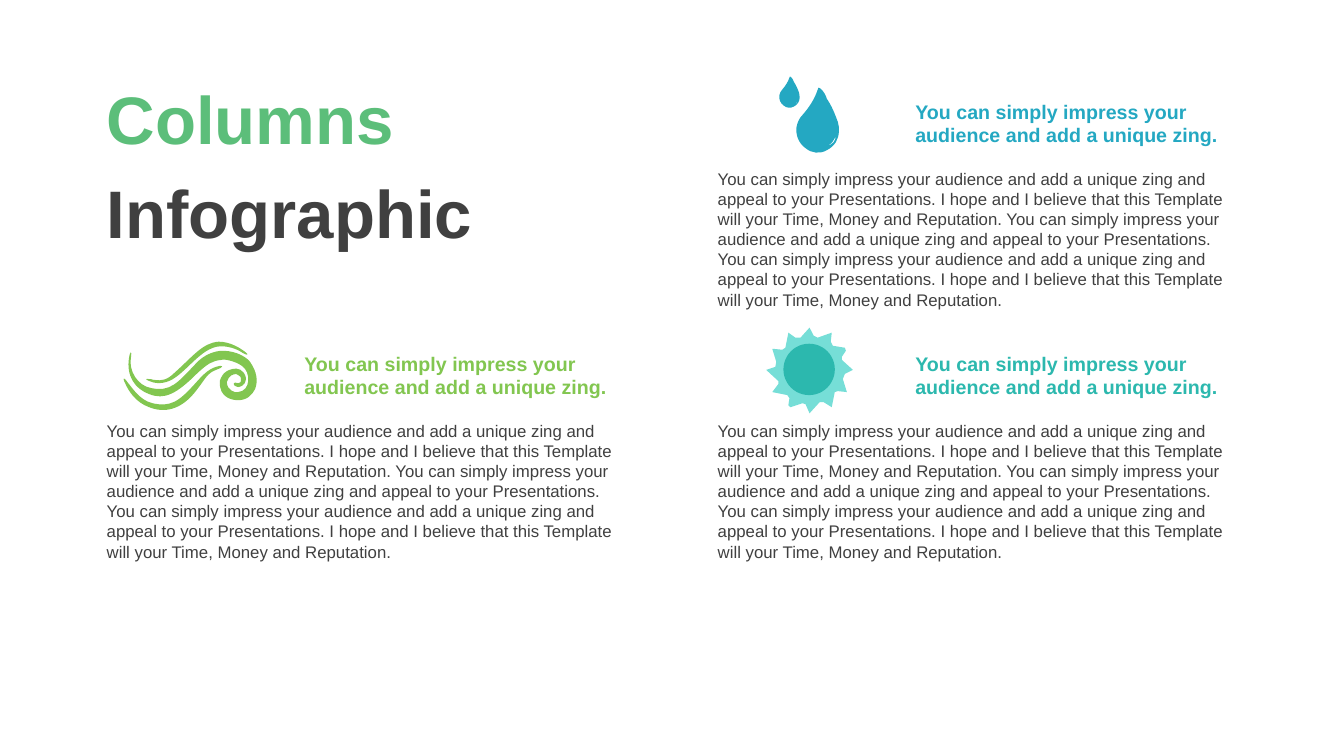
from dataclasses import dataclass

import lxml.etree
import pptx
import pptx.dml.color
import pptx.enum.shapes
import pptx.enum.text
import pptx.oxml.ns
import pptx.util

Point = tuple[int, int]
Inches = pptx.util.Inches
qn = pptx.oxml.ns.qn


@dataclass(frozen=True)
class Theme:
    font: str = "Arial"
    panel: str = "FFFFFF"
    title: str = "5CBE7A"
    ink: str = "404040"
    wind: str = "82C650"
    water: str = "24A8C2"
    sun: str = "2CB8AE"
    rays: str = "76DED7"
    title_size: int = 48
    heading_size: int = 14
    body_size: int = 12


@dataclass(frozen=True)
class Column:
    left: float
    top: float
    color: str


@dataclass(frozen=True)
class Outline:
    contours: tuple[str, ...]
    color: str
    curved: bool = True
    origin: tuple[float, float] = (0, 0)
    target: tuple[float, float] = (0, 0)
    scale: float = 1


THEME = Theme()
HEADING = "You can simply impress your audience and add a unique zing."
APPEAL = "You can simply impress your audience and add a unique zing and appeal to your Presentations."
BELIEF = "I hope and I believe that this Template will your Time, Money and Reputation."
BODY = " ".join((APPEAL, BELIEF, APPEAL, APPEAL, BELIEF))

COLUMNS = (
    Column(0.96, 3.44, THEME.wind),
    Column(7.02, 3.44, THEME.sun),
    Column(7.02, 0.94, THEME.water),
)

RAYS = (
    "8.25,3.3 8.24,3.39 8.26,3.43 8.38,3.45 8.39,3.48 8.35,3.54 8.35,3.57 8.46,3.67 "
    "8.38,3.71 8.36,3.76 8.4,3.89 8.31,3.88 8.28,3.89 8.25,4.04 8.17,3.99 8.13,3.99 "
    "8.03,4.1 7.99,4.01 7.96,4 7.84,4.04 7.82,4.02 7.83,3.95 7.81,3.92 7.66,3.89 "
    "7.72,3.81 7.72,3.78 7.6,3.67 7.69,3.64 7.7,3.59 7.66,3.46 7.76,3.47 7.79,3.45 "
    "7.82,3.3 7.89,3.35 7.94,3.35 8.03,3.25 8.07,3.33 8.11,3.35"
)
DROP = (
    "8.29,1.35 8.27,1.39 8.25,1.43 8.2,1.45 8.25,1.44 8.29,1.4 8.29,1.35",
    "8.12,0.87 8.13,0.87 8.13,0.87 8.14,0.88 8.17,0.91 8.19,0.94 8.2,0.98 "
    "8.25,1.05 8.28,1.13 8.31,1.21 8.32,1.24 8.32,1.27 8.32,1.3 8.32,1.38 8.28,1.45 8.2,1.49 "
    "8.13,1.53 8.05,1.52 7.99,1.47 7.92,1.42 7.89,1.34 7.9,1.26 7.91,1.21 7.93,1.17 7.96,1.14 "
    "8.03,1.06 8.08,0.98 8.11,0.89 8.11,0.88 8.12,0.87 8.12,0.87",
)
UPPER_GUST = (
    "2.43,3.49 2.39,3.46 2.29,3.39 2.17,3.39 2.01,3.4 1.91,3.54 1.73,3.7 "
    "1.66,3.77 1.6,3.78 1.54,3.77 1.5,3.77 1.49,3.75 1.46,3.76 1.45,3.76 1.44,3.76 1.46,3.77 "
    "1.48,3.78 1.55,3.82 1.65,3.79 1.82,3.74 1.96,3.48 2.15,3.44 2.25,3.42 2.36,3.47 2.39,3.49 "
    "2.45,3.53 2.48,3.53 2.43,3.49"
)
LOWER_GUST = (
    "1.24,3.8 1.27,3.87 1.34,3.99 1.48,4.04 1.63,4.1 1.8,4.07 1.95,3.87 "
    "2.02,3.78 2.05,3.72 2.1,3.69 2.16,3.66 2.17,3.66 2.19,3.65 2.21,3.64 2.21,3.63 2.18,3.63 "
    "2.08,3.65 2.03,3.7 1.94,3.8 1.77,3.99 1.69,4.04 1.51,4 1.38,3.97 1.3,3.83 1.27,3.8 "
    "1.23,3.74 1.21,3.74 1.24,3.8"
)
CURL = (
    "1.28,3.55 1.25,3.73 1.34,3.86 1.48,3.91 1.63,3.97 1.75,3.91 1.96,3.7 "
    "2.06,3.61 2.1,3.58 2.2,3.57 2.22,3.56 2.33,3.58 2.4,3.63 2.49,3.69 2.49,3.88 2.36,3.89 "
    "2.33,3.9 2.25,3.87 2.25,3.79 2.26,3.78 2.26,3.72 2.34,3.71 2.34,3.71 2.39,3.73 2.39,3.75 "
    "2.4,3.84 2.33,3.78 2.32,3.8 2.31,3.82 2.34,3.84 2.37,3.84 2.42,3.83 2.44,3.79 2.44,3.75 "
    "2.42,3.66 2.35,3.65 2.31,3.66 2.21,3.68 2.19,3.75 2.18,3.78 2.17,3.95 2.31,3.97 2.36,3.97 "
    "2.45,3.97 2.5,3.92 2.53,3.86 2.56,3.78 2.55,3.69 2.48,3.59 2.46,3.56 2.36,3.48 2.21,3.48 "
    "2.14,3.48 2.03,3.51 1.94,3.61 1.76,3.8 1.69,3.89 1.5,3.85 1.37,3.83 1.27,3.68 1.3,3.54 "
    "1.31,3.48 1.29,3.48 1.28,3.55"
)
SUN_ICON = (Outline((RAYS,), THEME.rays, curved=False),)
WATER_ICON = (
    Outline(DROP, THEME.water),
    Outline(DROP, THEME.water, origin=(7.9, 0.87), target=(7.73, 0.76), scale=0.48),
)
WIND_ICON = tuple(Outline((gust,), THEME.wind) for gust in (UPPER_GUST, LOWER_GUST, CURL))


def rgb(color: str) -> pptx.dml.color.RGBColor:
    return pptx.dml.color.RGBColor.from_string(color)


def contour_points(contour: str, outline: Outline) -> list[Point]:
    return [
        tuple(
            Inches(target + (float(value) - origin) * outline.scale)
            for value, origin, target in zip(pair.split(","), outline.origin, outline.target)
        )
        for pair in contour.split()
    ]


def paint(shape, color: str) -> None:
    shape.shadow.inherit = False
    shape.fill.solid()
    shape.fill.fore_color.rgb = rgb(color)
    shape.line.fill.background()


def bend(shape, contours: list[list[Point]]) -> None:
    controls = [points[i:i + 2] for points in contours for i in range(1, len(points), 3)]
    segments = list(shape.element.iter(qn("a:lnTo")))
    for segment, pair in zip(segments, controls):
        segment.tag = qn("a:cubicBezTo")
        for position, (x, y) in enumerate(pair):
            control = segment.makeelement(
                qn("a:pt"), {"x": str(x - shape.left), "y": str(y - shape.top)})
            segment.insert(position, control)


def add_icon(slide, outlines: tuple[Outline, ...]):
    group = slide.shapes.add_group_shape()
    for outline in outlines:
        contours = [contour_points(contour, outline) for contour in outline.contours]
        stride = 3 if outline.curved else 1
        builder = group.shapes.build_freeform(*contours[0][0], scale=1.0)
        for index, points in enumerate(contours):
            if index:
                builder.move_to(*points[0])
            builder.add_line_segments(points[stride::stride], close=True)
        shape = builder.convert_to_shape()
        if outline.curved:
            bend(shape, contours)
        paint(shape, outline.color)
    return group


def add_panel(slide) -> None:
    panel = slide.shapes.add_shape(pptx.enum.shapes.MSO_SHAPE.ROUNDED_RECTANGLE,
                                   *map(Inches, (0.44, 0.38, 12.45, 6.74)))
    panel.adjustments[0] = 0.04
    paint(panel, THEME.panel)
    color = next(panel.element.iter(qn("a:srgbClr")))
    lxml.etree.SubElement(color, qn("a:alpha"), val="70000")


def add_text(slide, box: tuple[float, ...], text: str, size: int, color: str, bold: bool):
    text_frame = slide.shapes.add_textbox(*map(Inches, box)).text_frame
    text_frame.word_wrap = True
    text_frame.auto_size = pptx.enum.text.MSO_AUTO_SIZE.SHAPE_TO_FIT_TEXT
    text_frame.text = text
    for paragraph in text_frame.paragraphs:
        for run in paragraph.runs:
            run.font.name = THEME.font
            run.font.size = pptx.util.Pt(size)
            run.font.bold = bold
            run.font.color.rgb = rgb(color)
    return text_frame


def add_title(slide) -> None:
    text_frame = add_text(slide, (0.96, 0.6, 4.14, 2.06), "Columns\nInfographic",
                          THEME.title_size, THEME.ink, True)
    text_frame.auto_size = pptx.enum.text.MSO_AUTO_SIZE.NONE
    text_frame.vertical_anchor = pptx.enum.text.MSO_ANCHOR.MIDDLE
    first, second = text_frame.paragraphs
    first.runs[0].font.color.rgb = rgb(THEME.title)
    second.space_before = pptx.util.Pt(9.6)


def add_column(slide, column: Column) -> None:
    add_text(slide, (column.left + 1.96, column.top, 3.39, 0.57), HEADING,
             THEME.heading_size, column.color, True)
    add_text(slide, (column.left, column.top + 0.68, 5.35, 1.51), BODY,
             THEME.body_size, THEME.ink, False)


def main() -> None:
    presentation = pptx.Presentation()
    presentation.slide_width = Inches(13.33)
    presentation.slide_height = Inches(7.5)
    slide = presentation.slides.add_slide(presentation.slide_layouts[6])
    add_panel(slide)
    sun = add_icon(slide, SUN_ICON)
    disc = sun.shapes.add_shape(pptx.enum.shapes.MSO_SHAPE.OVAL,
                                *map(Inches, (7.77, 3.41, 0.51, 0.51)))
    paint(disc, THEME.sun)
    add_icon(slide, WATER_ICON)
    add_title(slide)
    add_icon(slide, WIND_ICON)
    for column in COLUMNS:
        add_column(slide, column)
    presentation.save("out.pptx")


if __name__ == "__main__":
    main()
